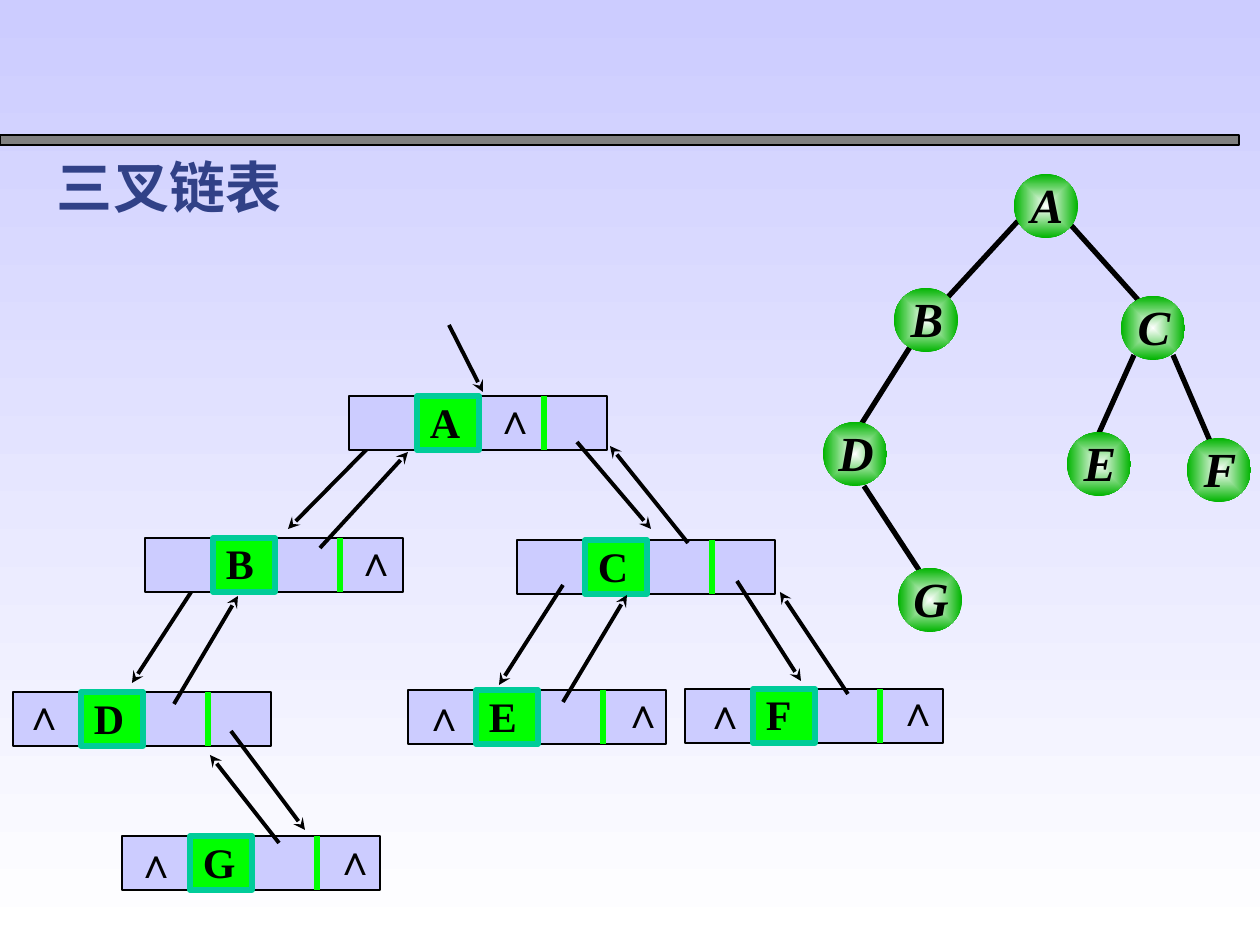
from dataclasses import dataclass

import pptx
import pptx.dml.color
import pptx.enum.shapes
import pptx.enum.text
import pptx.oxml
import pptx.oxml.ns
import pptx.util

PX = 914400 / 126
FONT = "Times New Roman"
BLACK, GREEN, PALE = "000000", "01FF01", "CCCCFF"
CIRCLE = 64
RECORD_WIDTH, RECORD_HEIGHT = 258, 54
KEY_OFFSET, KEY_WIDTH, DIVIDER_OFFSET = 68, 62, 195
Align = pptx.enum.text.PP_ALIGN
ShapeKind = pptx.enum.shapes.MSO_SHAPE


@dataclass
class TreeNode:
    name: str
    left: int
    top: int


@dataclass
class Record:
    """A linked node; carets holds the offsets of its null marks."""
    name: str
    left: int
    top: int
    carets: tuple[tuple[int, int], ...] = ()


@dataclass
class Segment:
    x1: int
    y1: int
    x2: int
    y2: int


BRANCHES = [
    Segment(1018, 221, 948, 297), Segment(1070, 224, 1140, 302),
    Segment(910, 347, 862, 423), Segment(864, 486, 919, 570),
    Segment(1134, 355, 1099, 433), Segment(1173, 355, 1210, 441),
]
TREE_NODES = [
    TreeNode("A", 1014, 174), TreeNode("B", 894, 288), TreeNode("C", 1121, 296),
    TreeNode("D", 823, 422), TreeNode("E", 1067, 432), TreeNode("F", 1187, 438),
    TreeNode("G", 898, 568),
]
RECORDS = [
    Record("A", 349, 396, ((135, -4),)),
    Record("B", 145, 538, ((200, -4),)),
    Record("C", 517, 540),
    Record("D", 13, 692, ((0, -4),)),
    Record("E", 408, 690, ((5, -1), (204, -4))),
    Record("F", 685, 689, ((9, -2), (202, -5))),
    Record("G", 122, 836, ((3, 0), (202, -3))),
]
# Arrows that start underneath a record, then those that cross over one
LOWER_ARROWS = [Segment(197, 583, 132, 683), Segment(374, 442, 288, 529)]
UPPER_ARROWS = [
    Segment(449, 325, 483, 392), Segment(577, 442, 651, 529),
    Segment(320, 548, 408, 452), Segment(174, 704, 238, 596),
    Segment(563, 702, 627, 595), Segment(563, 585, 499, 685),
    Segment(231, 731, 305, 830), Segment(279, 843, 210, 755),
    Segment(848, 694, 780, 592), Segment(688, 543, 610, 446),
    Segment(737, 581, 801, 681),
]


def px(value: int) -> pptx.util.Emu:
    return pptx.util.Emu(round(value * PX))


def color(value: str) -> pptx.dml.color.RGBColor:
    return pptx.dml.color.RGBColor.from_string(value)


def set_gradient(fill, first: str, last: str) -> None:
    fill.gradient()
    for stop, position, value in zip(fill.gradient_stops, (0, 1), (first, last)):
        stop.position = position
        stop.color.rgb = color(value)
    fill.gradient_angle = 270


def set_text(shape, text: str, size: int, value: str, align, margins=(0, 0, 0, 0), italic=False) -> None:
    """Write one bold line; margins are left, top, right, bottom in px."""
    frame = shape.text_frame
    frame.word_wrap = True
    frame.auto_size = pptx.enum.text.MSO_AUTO_SIZE.NONE
    frame.vertical_anchor = pptx.enum.text.MSO_ANCHOR.TOP
    frame.margin_left, frame.margin_top, frame.margin_right, frame.margin_bottom = map(px, margins)
    frame.text = text
    paragraph = frame.paragraphs[0]
    paragraph.alignment = align
    font = paragraph.runs[0].font
    font.name, font.size = FONT, pptx.util.Pt(size)
    font.bold, font.italic = True, italic
    font.color.rgb = color(value)


def add_text(slide, left: int, top: int, width: int, height: int, text: str, size: int, margins, italic=False) -> None:
    box = slide.shapes.add_textbox(px(left), px(top), px(width), px(height))
    set_text(box, text, size, BLACK, Align.CENTER, margins, italic)


def add_box(slide, left: int, top: int, width: int, height: int, fill: str, line=BLACK, weight=0.75):
    shape = slide.shapes.add_shape(ShapeKind.RECTANGLE, px(left), px(top), px(width), px(height))
    shape.shadow.inherit = False
    shape.fill.solid()
    shape.fill.fore_color.rgb = color(fill)
    shape.line.color.rgb = color(line)
    shape.line.width = pptx.util.Pt(weight)
    return shape


def add_line(slide, segment: Segment, value: str = BLACK, weight: float = 3, arrow: bool = False) -> None:
    connector = slide.shapes.add_connector(
        pptx.enum.shapes.MSO_CONNECTOR.STRAIGHT,
        px(segment.x1), px(segment.y1), px(segment.x2), px(segment.y2))
    connector.line.color.rgb = color(value)
    connector.line.width = pptx.util.Pt(weight)
    if arrow:
        tail = pptx.oxml.parse_xml(f'<a:tailEnd {pptx.oxml.ns.nsdecls("a")} type="stealth" w="med" len="med"/>')
        connector.line._get_or_add_ln().append(tail)
    connector._element.spPr.append(pptx.oxml.parse_xml(f'<a:effectLst {pptx.oxml.ns.nsdecls("a")}/>'))


def add_tree_node(slide, node: TreeNode) -> None:
    circle = slide.shapes.add_shape(ShapeKind.OVAL, px(node.left), px(node.top), px(CIRCLE), px(CIRCLE))
    circle.shadow.inherit = False
    circle.line.fill.background()
    set_gradient(circle.fill, "FFFFFF", "00B400")
    linear = circle._element.spPr.find(".//" + pptx.oxml.ns.qn("a:lin"))
    linear.getparent().replace(linear, pptx.oxml.parse_xml(
        f'<a:path {pptx.oxml.ns.nsdecls("a")} path="rect">'
        '<a:fillToRect l="50000" t="50000" r="50000" b="50000"/></a:path>'))
    add_text(slide, node.left + 6, node.top - 5, 54, 84, node.name, 28, (0, 5, 0, 0), italic=True)


def add_record(slide, record: Record) -> None:
    left, top = record.left, record.top
    add_box(slide, left, top, RECORD_WIDTH, RECORD_HEIGHT, PALE)
    key = add_box(slide, left + KEY_OFFSET, top, KEY_WIDTH, RECORD_HEIGHT, GREEN, "00CC99", 3)
    set_text(key, record.name, 24, BLACK, Align.JUSTIFY, (13, 0, 3, 1))
    divider = left + DIVIDER_OFFSET
    add_line(slide, Segment(divider, top, divider, top + RECORD_HEIGHT), GREEN)
    for x, y in record.carets:
        add_text(slide, left + x, top + y, 58, 50, "∧", 24, (8, 1, 3, 1))


def main() -> None:
    presentation = pptx.Presentation()
    presentation.slide_width, presentation.slide_height = px(1260), px(945)
    slide = presentation.slides.add_slide(presentation.slide_layouts.get_by_name("Title Only"))
    set_gradient(slide.background.fill, PALE, "FFFFFF")

    title = slide.shapes.title
    title.left, title.top, title.width, title.height = map(px, (44, 147, 462, 81))
    set_text(title, "三叉链表", 32, "314187", Align.LEFT, (13, 6, 13, 6))

    add_box(slide, 0, 135, 1239, 10, "808080")
    for branch in BRANCHES:
        add_line(slide, branch)
    for node in TREE_NODES:
        add_tree_node(slide, node)
    for arrow in LOWER_ARROWS:
        add_line(slide, arrow, weight=2.25, arrow=True)
    for record in RECORDS:
        add_record(slide, record)
    for arrow in UPPER_ARROWS:
        add_line(slide, arrow, weight=2.25, arrow=True)
    presentation.save("out.pptx")


if __name__ == "__main__":
    main()
